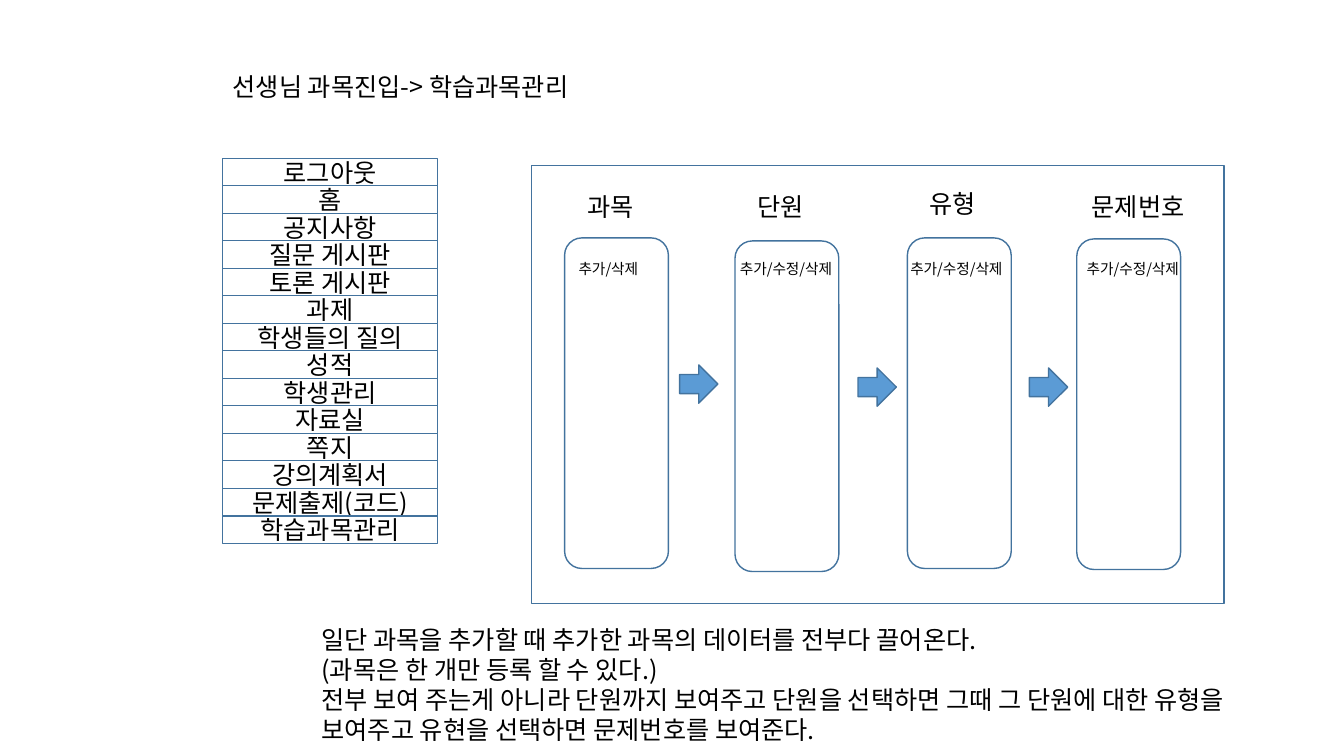
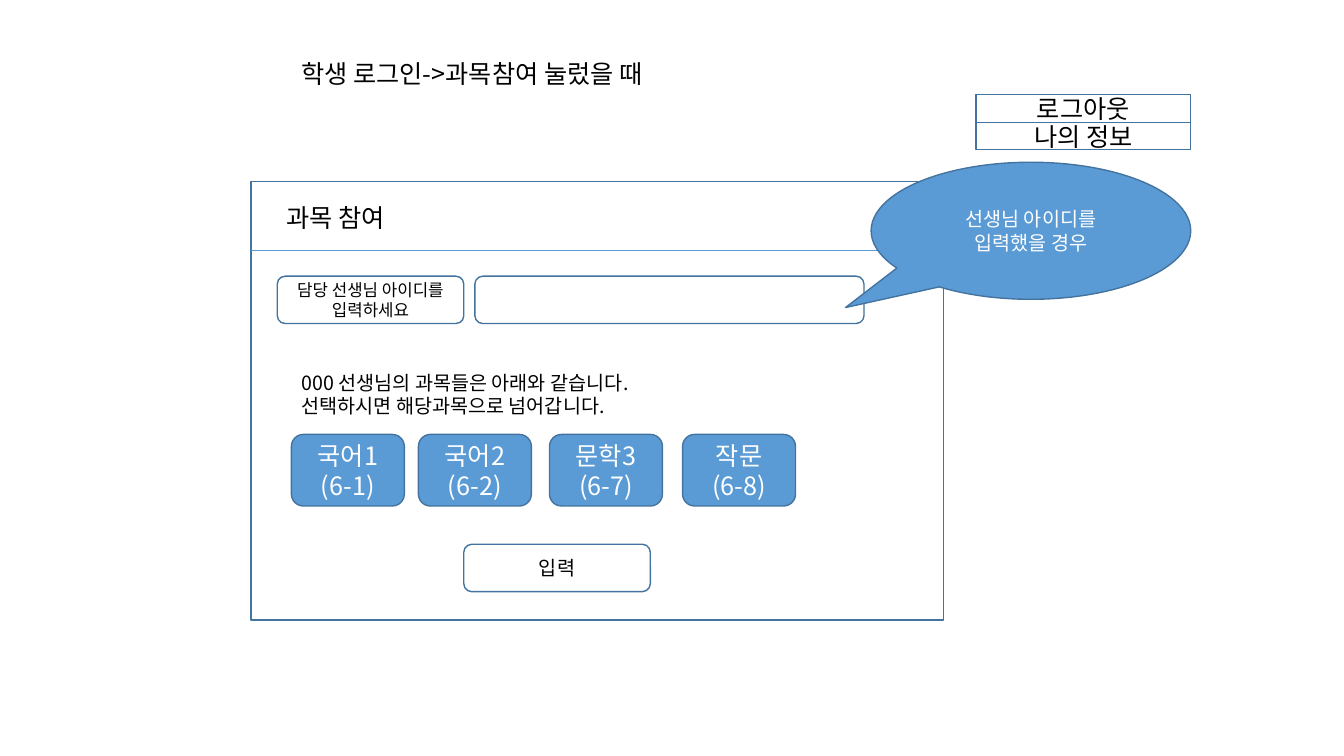
import pptx
import pptx.dml.color
import pptx.enum.shapes
import pptx.enum.text
import pptx.oxml.ns
import pptx.util
from lxml import etree

Inches = pptx.util.Inches
SHAPE = pptx.enum.shapes.MSO_SHAPE
ALIGN = pptx.enum.text.PP_ALIGN
ANCHOR = pptx.enum.text.MSO_ANCHOR

WHITE = pptx.dml.color.RGBColor(0xFF, 0xFF, 0xFF)
BLACK = pptx.dml.color.RGBColor(0x00, 0x00, 0x00)
BLUE = pptx.dml.color.RGBColor(0x5B, 0x9B, 0xD5)
OUTLINE = pptx.dml.color.RGBColor(0x43, 0x73, 0x9E)
FONT = "Noto Sans CJK KR"

MENU_WIDTH = 2.13
MENU_HEIGHT = 3.82 / 14
PANEL_SIZE = (6.87, 4.35)
BUTTON_SIZE = (1.85, 0.47)


def write(shape, lines, size, ink, frame_format, align):
    frame = shape.text_frame
    for name, value in frame_format.items():
        setattr(frame, name, value)
    for index, line in enumerate(lines):
        paragraph = frame.paragraphs[0] if index == 0 else frame.add_paragraph()
        paragraph.alignment = align
        run = paragraph.add_run()
        run.text = line
        for name, value in {"name": FONT, "size": pptx.util.Pt(size)}.items():
            setattr(run.font, name, value)
        run.font.color.rgb = ink
        east_asian = etree.SubElement(run.font._element, pptx.oxml.ns.qn("a:ea"))
        east_asian.set("typeface", FONT)


def add_part(shapes, kind, at, lines=(), size=18, ink=BLACK, fill=WHITE):
    place = [Inches(value) for value in at]
    if kind is None:
        label = shapes.add_textbox(*place)
        write(label, lines, size, ink,
              {"word_wrap": True, "auto_size": pptx.enum.text.MSO_AUTO_SIZE.SHAPE_TO_FIT_TEXT},
              ALIGN.LEFT)
        return label
    part = shapes.add_shape(kind, *place)
    part.shadow.inherit = False
    part.fill.solid()
    part.fill.fore_color.rgb = fill
    part.line.color.rgb = OUTLINE
    part.line.width = pptx.util.Pt(1)
    write(part, lines, size, ink,
          {"word_wrap": True, "vertical_anchor": ANCHOR.MIDDLE}, ALIGN.CENTER)
    return part


deck = pptx.Presentation()
deck.slide_width = Inches(13.33)
deck.slide_height = Inches(7.5)
teacher, student = [deck.slides.add_slide(deck.slide_layouts[6]).shapes for _ in range(2)]
student_menu = []

add_part(teacher, None, (2.21, 0.66, 6.79, 0.4), ["선생님 과목진입-> 학습과목관리"])
add_part(teacher, SHAPE.RECTANGLE, (5.27, 1.64, *PANEL_SIZE))

columns = [
    ("과목", 5.73, 1.85, 5.6, 2.36, "추가/삭제", 5.64),
    ("단원", 7.41, 1.85, 7.29, 2.39, "추가/수정/삭제", 7.24),
    ("유형", 9.12, 1.82, 9, 2.36, "추가/수정/삭제", 8.93),
    ("문제번호", 10.73, 1.85, 10.68, 2.37, "추가/수정/삭제", 10.68),
]
for heading, heading_left, heading_top, left, top, actions, actions_left in columns:
    add_part(teacher, None, (heading_left, heading_top, 1.61, 0.4), [heading])
    add_part(teacher, SHAPE.ROUNDED_RECTANGLE, (left, top, 1.03, 3.28))
    add_part(teacher, None, (actions_left, 2.53, 1.61, 0.28), [actions], 10.5)

for left, top in [(6.74, 3.62), (8.51, 3.65), (10.21, 3.65)]:
    add_part(teacher, SHAPE.RIGHT_ARROW, (left, top, 0.38, 0.38), fill=BLUE)

add_part(teacher, None, (3.09, 6.14, 9.24, 1.31), [
    "일단 과목을 추가할 때 추가한 과목의 데이터를 전부다 끌어온다.",
    "(과목은 한 개만 등록 할 수 있다.)",
    "전부 보여 주는게 아니라 단원까지 보여주고 단원을 선택하면 그때 그 단원에 대한 "
    "유형을 보여주고 유현을 선택하면 문제번호를 보여준다.",
])

add_part(student, None, (2.89, 0.53, 6.79, 0.4), ["학생 로그인->과목참여 눌렀을 때"])
add_part(student, SHAPE.RECTANGLE, (2.49, 1.8, *PANEL_SIZE))
add_part(student, None, (2.74, 1.96, 1.61, 0.4), ["과목 참여"])

divider = student.add_connector(
    pptx.enum.shapes.MSO_CONNECTOR.STRAIGHT,
    Inches(2.49), Inches(2.48), Inches(9.36), Inches(2.48))
divider.line.color.rgb = BLUE
divider.line.width = pptx.util.Pt(0.5)
etree.SubElement(divider._element.spPr, pptx.oxml.ns.qn("a:effectLst"))

add_part(student, SHAPE.ROUNDED_RECTANGLE, (2.75, 2.74, *BUTTON_SIZE),
         ["담당 선생님 아이디를 입력하세요"], 12)
add_part(student, SHAPE.ROUNDED_RECTANGLE, (4.6, 5.4, *BUTTON_SIZE), ["입력"], 14)
add_part(student, SHAPE.ROUNDED_RECTANGLE, (4.71, 2.74, 3.86, 0.47))

menus = [
    (teacher, 2.21, 1.57, [
        "로그아웃", "홈", "공지사항", "질문 게시판", "토론 게시판", "과제", "학생들의 질의",
        "성적", "학생관리", "자료실", "쪽지", "강의계획서", "문제출제(코드)", "학습과목관리"]),
    (student.add_group_shape().shapes, 9.68, 0.94, ["로그아웃", "나의 정보"]),
]
for shapes, left, top, entries in menus:
    for row, entry in enumerate(entries):
        add_part(shapes, SHAPE.RECTANGLE,
                 (left, top + row * MENU_HEIGHT, MENU_WIDTH, MENU_HEIGHT), [entry])

callout = add_part(student, SHAPE.OVAL_CALLOUT, (8.64, 1.61, 3.17, 1.36),
                   ["선생님 아이디를 입력했을 경우"], 14, WHITE, BLUE)
callout.adjustments[0] = -0.58
callout.adjustments[1] = 0.56

subjects = [(2.89, "국어1", "(6-1)"), (4.15, "국어2", "(6-2)"),
            (5.45, "문학3", "(6-7)"), (6.77, "작문", "(6-8)")]
for left, subject, classroom in subjects:
    add_part(student, SHAPE.ROUNDED_RECTANGLE, (left, 4.31, 1.12, 0.71),
             [subject, classroom], ink=WHITE, fill=BLUE)

add_part(student, None, (2.89, 3.63, 4.91, 0.57),
         ["000 선생님의 과목들은 아래와 같습니다.", "선택하시면 해당과목으로 넘어갑니다."], 14)

deck.save("out.pptx")
